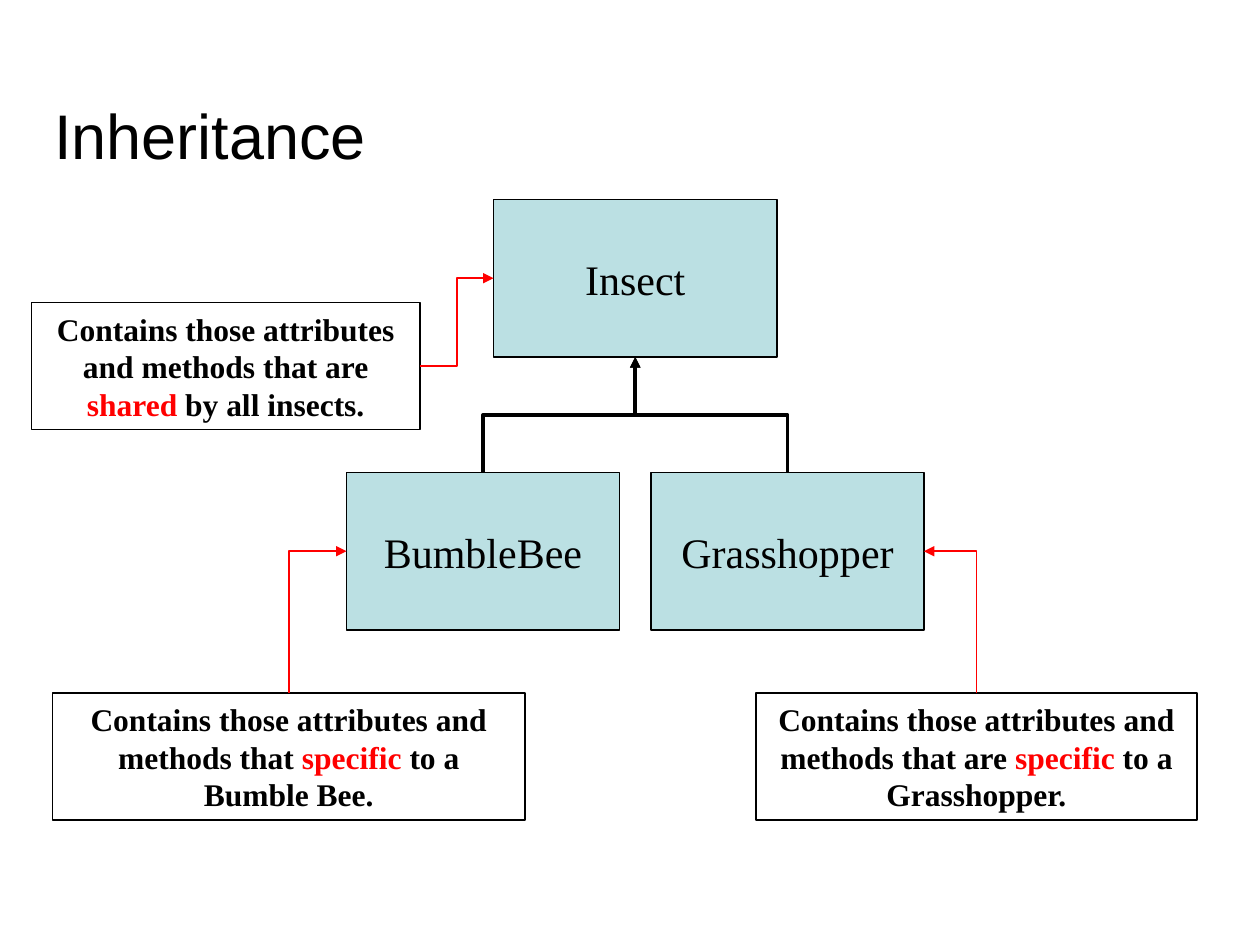
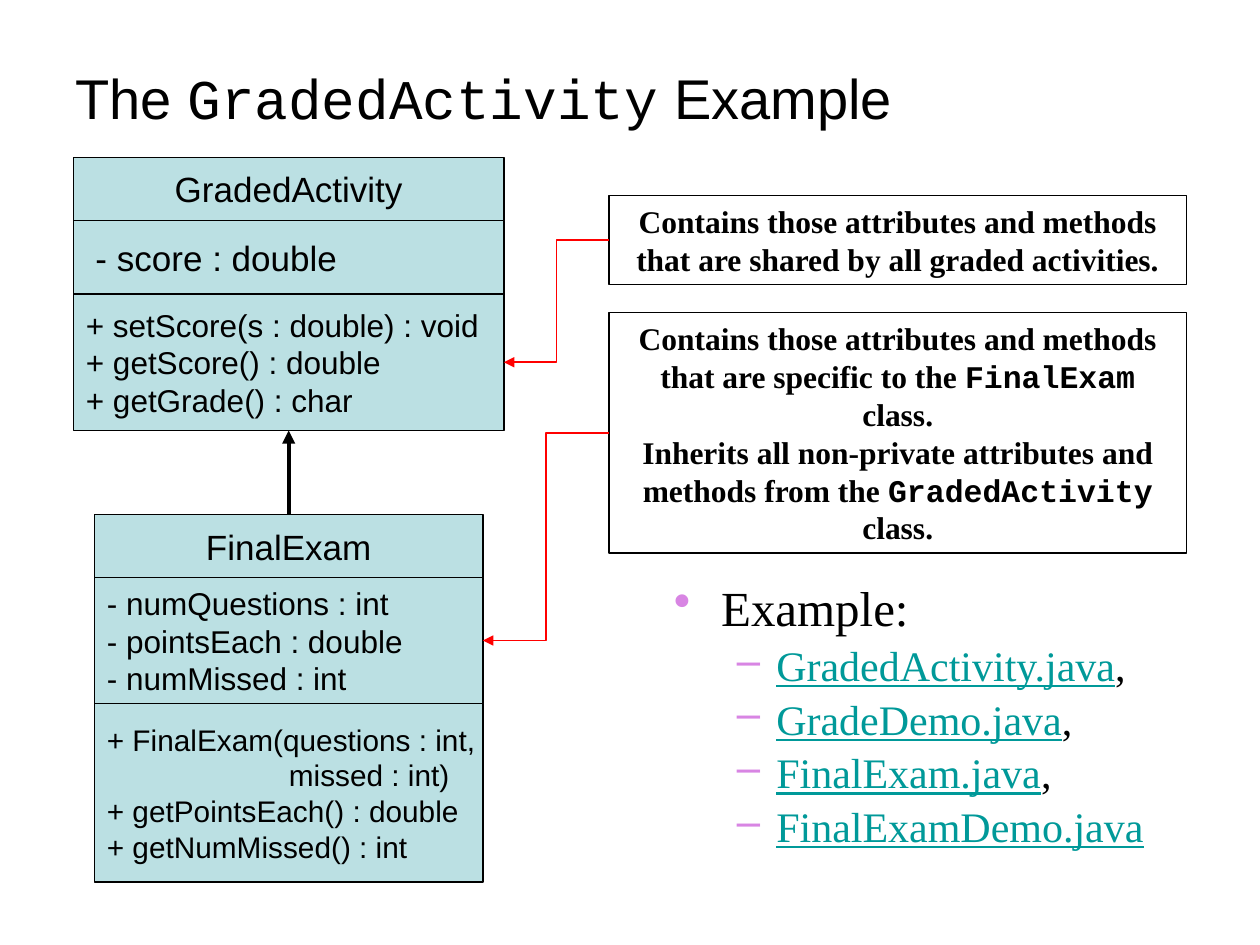
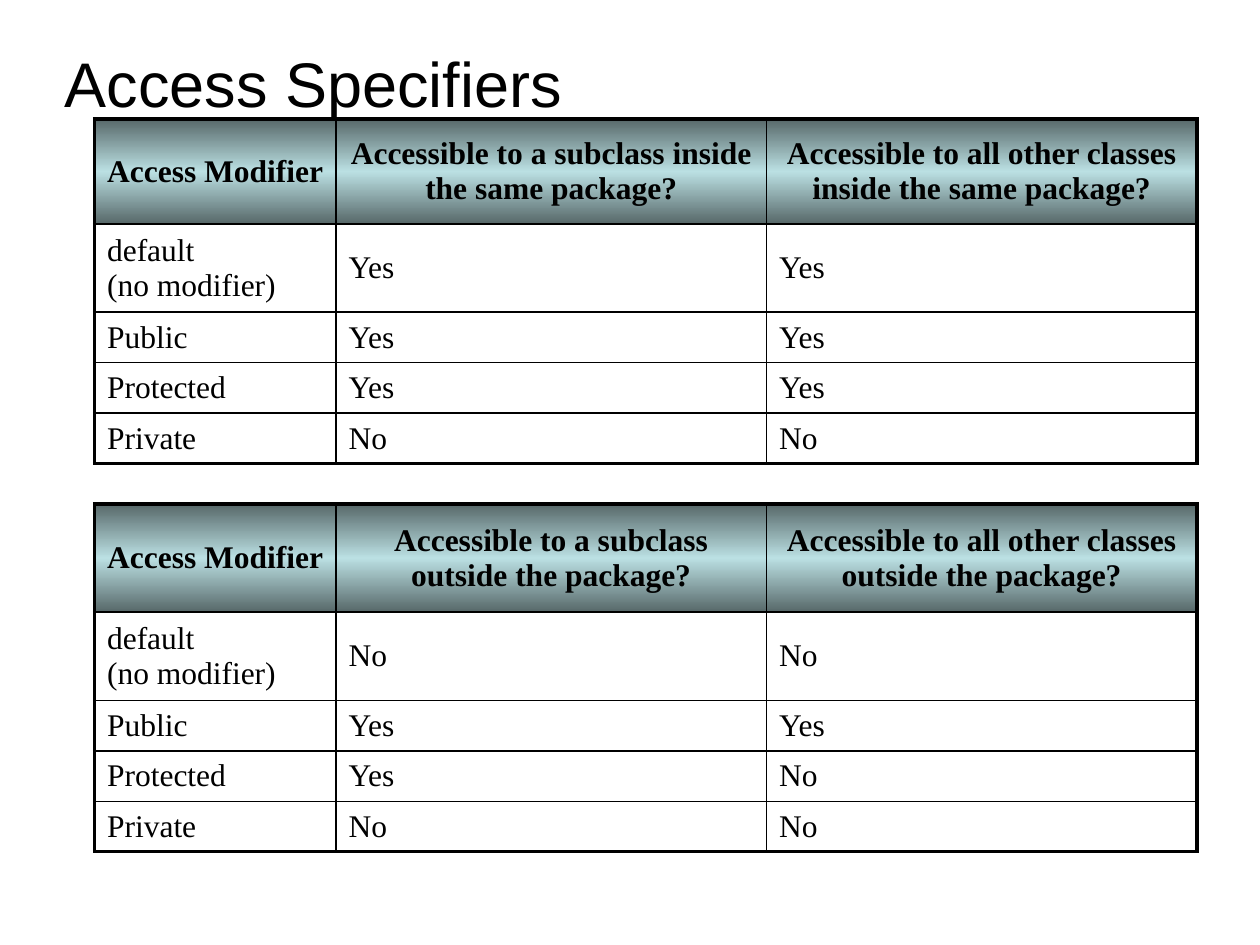
import pptx
import pptx.util
import pptx.dml.color
import pptx.enum.shapes
import pptx.enum.text
import pptx.oxml.ns
import lxml.etree

Pt = pptx.util.Pt
qn = pptx.oxml.ns.qn
ALIGN = pptx.enum.text.PP_ALIGN
ANCHOR = pptx.enum.text.MSO_ANCHOR
KIND = pptx.enum.shapes.MSO_CONNECTOR
RECT = pptx.enum.shapes.MSO_SHAPE.RECTANGLE

HUES = {"ink": "000000", "teal": "BBE0E3", "dusk": "576869",
        "red": "FF0000", "link": "009999", "mark": "D885E3"}
SANS, SERIF, MONO = "Arial", "Times New Roman", "Courier New"
TOP, LEFT, BOTTOM, RIGHT = range(4)
RED = {"hue": "red"}
CODE = {"face": MONO}
LINK = {"hue": "link", "line": True}

INSECTS = {
    "Insect": (282, 114, 162, 90),
    "Grasshopper": (372, 270, 156, 90),
    "BumbleBee": (198, 270, 156, 90),
}
NOTES = [
    ("Insect", LEFT, RIGHT, (18, 173, 222, 72.6),
     ["Contains those attributes and methods that are ", ("shared", RED),
      " by all insects."]),
    ("BumbleBee", LEFT, TOP, (30, 396, 270, 72.6),
     ["Contains those attributes and methods that ", ("specific ", RED),
      "to a Bumble Bee."]),
    ("Grasshopper", RIGHT, TOP, (432, 396, 252, 72.6),
     ["Contains those attributes and methods that are ", ("specific", RED),
      " to a Grasshopper."]),
]

GRADED = (42, 90, 246, [
    (36, 20, ["GradedActivity"]),
    (42, 20, ["- score : double"]),
    (78, 18, ["+ setScore(s : double) : void", "+ getScore() : double",
              "+ getGrade() : char"]),
])
FINAL = (54, 294, 222, [
    (36, 20, ["FinalExam"]),
    (72, 18, ["- numQuestions : int", "- pointsEach : double",
              "- numMissed : int"]),
    (102, 17, ["+ FinalExam(questions : int,", "missed : int)",
               "+ getPointsEach() : double", "+ getNumMissed() : int"]),
])
INDENTS = {"- score : double": 5.5, "missed : int)": 104}
SHARED = [["Contains those attributes and methods that are shared by all "
           "graded activities."]]
OWN = [
    ["Contains those attributes and methods that are specific to the ",
     ("FinalExam", CODE), " class."],
    ["Inherits all non-private attributes and methods from the ",
     ("GradedActivity", CODE), " class."],
]
FILES = [
    ["Example:"],
    [("GradedActivity.java", LINK), ","],
    [("GradeDemo.java", LINK), ","],
    [("FinalExam.java", LINK), ","],
    [("FinalExamDemo.java", LINK)],
]

WIDTHS = [138, 246, 246]
GRIDS = [
    (68, 60, [
        ["Access Modifier", "Accessible to a subclass inside the same package?",
         "Accessible to all other classes inside the same package?"],
        ["default\n(no modifier)", "Yes", "Yes"],
        ["Public", "Yes", "Yes"],
        ["Protected", "Yes", "Yes"],
        ["Private", "No", "No"]]),
    (288, 61.8, [
        ["Access Modifier", "Accessible to a subclass outside the package?",
         "Accessible to all other classes outside the package?"],
        ["default\n(no modifier)", "No", "No"],
        ["Public", "Yes", "Yes"],
        ["Protected", "Yes", "No"],
        ["Private", "No", "No"]]),
]


def tint(name):
    return pptx.dml.color.RGBColor.from_string(HUES[name])


def add(node, tag, **keys):
    return lxml.etree.SubElement(node, qn("a:" + tag), keys)


def paint(node, name):
    add(add(node, "solidFill"), "srgbClr", val=HUES[name])


def write(frame, paras, size=18, face=SERIF, bold=False, hue="ink",
          align=ALIGN.LEFT, anchor=ANCHOR.MIDDLE):
    frame.word_wrap = True
    frame.vertical_anchor = anchor
    for i, runs in enumerate(paras):
        para = frame.paragraphs[0] if i == 0 else frame.add_paragraph()
        para.alignment = align
        for item in runs:
            words, own = (item, {}) if isinstance(item, str) else item
            run = para.add_run()
            run.text = words
            font = run.font
            font.size = Pt(size)
            font.bold = bold
            font.name = own.get("face", face)
            font.underline = own.get("line", False)
            font.color.rgb = tint(own.get("hue", hue))


def title(slide, runs, x, y, w, h, size=36):
    box = slide.shapes.add_textbox(Pt(x), Pt(y), Pt(w), Pt(h))
    write(box.text_frame, [runs], size=size, face=SANS, anchor=ANCHOR.BOTTOM)


def block(slide, area, paras, fill=None, **form):
    box = slide.shapes.add_shape(RECT, *map(Pt, area))
    box.shadow.inherit = False
    if fill:
        box.fill.solid()
        box.fill.fore_color.rgb = tint(fill)
    else:
        box.fill.background()
    box.line.color.rgb = tint("ink")
    box.line.width = Pt(0.75)
    write(box.text_frame, paras, **form)
    return box


def note(slide, area, paras):
    return block(slide, area, paras, bold=True, align=ALIGN.CENTER)


def join(slide, start, out, end, into, hue="red", width=1, kind=KIND.ELBOW):
    wire = slide.shapes.add_connector(kind, 0, 0, 0, 0)
    wire.begin_connect(start, out)
    wire.end_connect(end, into)
    wire.line.color.rgb = tint(hue)
    wire.line.width = Pt(width)
    props = wire.element.spPr
    add(props.find(qn("a:ln")), "tailEnd", type="triangle")
    add(props, "effectLst")
    if kind == KIND.ELBOW and out == TOP:
        turn(wire, props)
        if into in (LEFT, RIGHT):
            props.find(qn("a:prstGeom")).set("prst", "bentConnector2")


def turn(wire, props):
    right = wire.end_x > wire.begin_x
    w, h = wire.width, wire.height
    wire.left += (w - h) // 2
    wire.top += (h - w) // 2
    wire.width, wire.height = h, w
    form = props.find(qn("a:xfrm"))
    for flip in ("flipH", "flipV"):
        form.attrib.pop(flip, None)
    form.set("rot", str((270 if right else 90) * 60000))
    if not right:
        form.set("flipH", "1")


def model(slide, x, y, w, parts):
    boxes = []
    for i, (h, size, lines) in enumerate(parts):
        box = block(slide, (x, y, w, h), [[line] for line in lines],
                    fill="teal", size=size, face=SANS,
                    align=ALIGN.LEFT if i else ALIGN.CENTER)
        if i:
            box.text_frame.margin_right = 0
        for para in box.text_frame.paragraphs:
            if para.text in INDENTS:
                props = para._p.get_or_add_pPr()
                props.set("marL", str(Pt(INDENTS[para.text])))
        boxes.append(box)
        y += h
    return boxes


def bullets(slide, items, area):
    frame = slide.shapes.add_textbox(*map(Pt, area)).text_frame
    frame.margin_right = 0
    write(frame, items, size=24, anchor=ANCHOR.TOP)
    for i, para in enumerate(frame.paragraphs):
        left, hang, sign = (58.5, 22.5, "–") if i else (27, 27, "•")
        props = para._p.get_or_add_pPr()
        props.set("marL", str(Pt(left)))
        props.set("indent", str(-Pt(hang)))
        add(add(props, "buClr"), "srgbClr", val=HUES["mark"])
        add(props, "buChar", char=sign)
        para.line_spacing = 0.9
        if i:
            para.space_before = Pt(4.8)
    frame.paragraphs[0].runs[0].font.size = Pt(28)


def edge(cell, thick):
    props = cell._tc.get_or_add_tcPr()
    for side in "LRTB":
        line = add(props, "ln" + side, w=str(Pt(2.25 if side in thick else 1)))
        paint(line, "ink")


def shade(cell):
    grad = add(cell._tc.get_or_add_tcPr(), "gradFill", rotWithShape="1")
    stops = add(grad, "gsLst")
    for pos, hue in ((0, "dusk"), (50, "teal"), (100, "dusk")):
        add(add(stops, "gs", pos=str(pos * 1000)), "srgbClr", val=HUES[hue])
    add(grad, "lin", ang="5400000", scaled="1")


def grid(slide, y, head, rows):
    highs = [head, 46.8] + [26.6] * (len(rows) - 2)
    table = slide.shapes.add_table(len(rows), len(WIDTHS), Pt(54), Pt(y),
                                   Pt(sum(WIDTHS)), Pt(sum(highs))).table
    table.first_row = table.horz_banding = False
    for col, w in zip(table.columns, WIDTHS):
        col.width = Pt(w)
    for r, row in enumerate(rows):
        table.rows[r].height = Pt(highs[r])
        for c, words in enumerate(row):
            cell = table.cell(r, c)
            write(cell.text_frame, [[line] for line in words.split("\n")],
                  bold=r == 0, align=ALIGN.LEFT if r else ALIGN.CENTER)
            cell.vertical_anchor = ANCHOR.MIDDLE
            ends = (("L", c == 0), ("R", c == len(row) - 1),
                    ("T", r == 0), ("B", r == len(rows) - 1))
            edge(cell, [side for side, outer in ends if outer])
            if r:
                cell.fill.background()
            else:
                shade(cell)


def family(slide):
    title(slide, ["Inheritance"], 24, 24, 678, 78)
    kin = {name: block(slide, area, [[name]], fill="teal", size=24,
                       align=ALIGN.CENTER)
           for name, area in INSECTS.items()}
    for child in ("BumbleBee", "Grasshopper"):
        join(slide, kin[child], TOP, kin["Insect"], BOTTOM, hue="ink", width=2)
    for name, into, out, area, runs in NOTES:
        join(slide, note(slide, area, [runs]), out, kin[name], into)


def grades(slide):
    title(slide, ["The ", ("GradedActivity", CODE), " Example"],
          36, 18, 612, 60, size=32)
    bullets(slide, FILES, (378, 330, 306, 168))
    base = model(slide, *GRADED)
    exam = model(slide, *FINAL)
    join(slide, exam[0], TOP, base[2], BOTTOM, hue="ink", width=2.5,
         kind=KIND.STRAIGHT)
    join(slide, note(slide, (348, 111.6, 330, 51), SHARED), LEFT,
         base[2], RIGHT)
    join(slide, note(slide, (348, 178.5, 330, 137.5), OWN), LEFT,
         exam[1], RIGHT)


def access(slide):
    title(slide, ["Access Specifiers"], 30, 18, 612, 54)
    for y, head, rows in GRIDS:
        grid(slide, y, head, rows)


def main():
    deck = pptx.Presentation()
    deck.slide_width, deck.slide_height = Pt(720), Pt(540)
    for draw in (family, grades, access):
        draw(deck.slides.add_slide(deck.slide_layouts[6]))
    deck.save("out.pptx")


if __name__ == "__main__":
    main()
